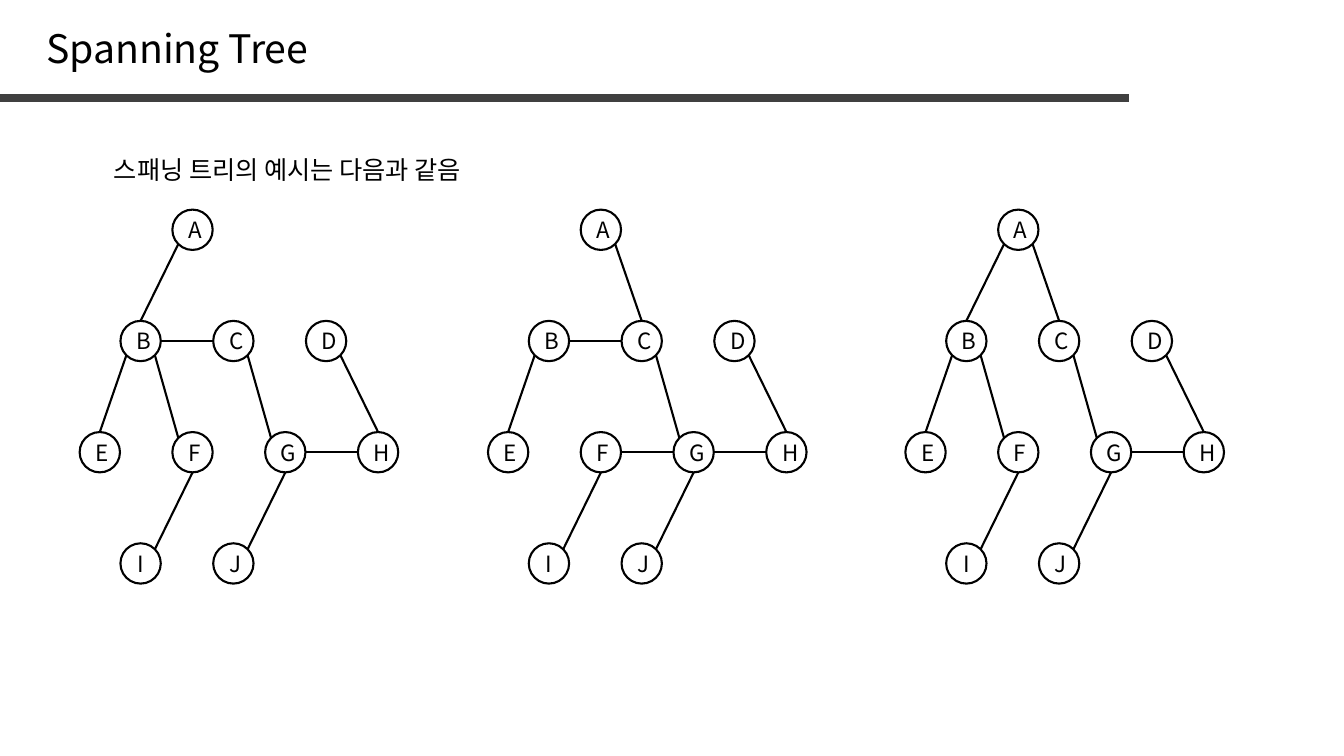
import math

import pptx
import pptx.dml.color
import pptx.enum.shapes
import pptx.enum.text
import pptx.oxml
import pptx.oxml.ns
import pptx.util
from lxml import etree

WIDTH, HEIGHT = 13.33, 7.5
COLUMN, ROW = 0.92, (5.59 - 2.28) / 3
FIRST_ROW = 2.28
DIAMETER = 0.4
SHIFT = 0.44

NODES = {
    "A": (1, 0),
    "B": (SHIFT, 1), "C": (1 + SHIFT, 1), "D": (2 + SHIFT, 1),
    "E": (0, 2), "F": (1, 2), "G": (2, 2), "H": (3, 2),
    "I": (SHIFT, 3), "J": (1 + SHIFT, 3),
}
ANGLES = {"E": 0, "SE": 45, "S": 90, "SW": 135, "W": 180, "NW": 225, "N": 270, "NE": 315}
EDGE_SIDES = {
    "AB": ("SW", "N"), "AC": ("SE", "N"), "BC": ("E", "W"), "BE": ("SW", "N"),
    "BF": ("SE", "NW"), "CG": ("SE", "NW"), "DH": ("SE", "N"), "FG": ("E", "W"),
    "FI": ("S", "NE"), "GH": ("E", "W"), "GJ": ("S", "NE"),
}
SPANNING_TREES = [
    (0.99, "AB BC BE BF GJ CG GH DH FI"),
    (5.04, "AC BC BE GJ FG CG GH DH FI"),
    (9.18, "AB AC BE GJ BF CG GH DH FI"),
]


def colour(hex_string):
    return pptx.dml.color.RGBColor.from_string(hex_string)


class TreeSlide:
    """Draws titles, sentences and graphs on one slide in a single style."""

    font = "Noto Sans CJK KR"
    ink = "000000"
    rule_ink = "404040"
    stroke = 1.5

    def __init__(self, deck):
        self.slide = deck.slides.add_slide(deck.slide_layouts[1])

    def add_words(self, frame, text, size, align):
        paragraph = frame.paragraphs[0]
        paragraph.alignment = align
        run = paragraph.add_run()
        run.text = text
        run.font.size = pptx.util.Pt(size)
        run.font.color.rgb = colour(self.ink)
        run.font.name = self.font
        east_asian = etree.SubElement(run.font._element, pptx.oxml.ns.qn("a:ea"))
        east_asian.set("typeface", self.font)
        return paragraph

    def fill_placeholder(self, index, box, text, size, wrap):
        holder = self.slide.placeholders[index]
        holder.left, holder.top, holder.width, holder.height = map(pptx.util.Inches, box)
        frame = holder.text_frame
        frame.word_wrap = wrap
        frame.auto_size = pptx.enum.text.MSO_AUTO_SIZE.SHAPE_TO_FIT_TEXT
        frame.vertical_anchor = pptx.enum.text.MSO_ANCHOR.TOP
        return self.add_words(frame, text, size, pptx.enum.text.PP_ALIGN.LEFT)

    def title(self, text):
        self.fill_placeholder(0, (0.36, 0.19, 2.84, 0.57), text, 28, False)

    def sentence(self, text):
        paragraph = self.fill_placeholder(1, (1.03, 1.48, 11.2, 0.4), text, 18, True)
        paragraph.space_before = pptx.util.Pt(0)
        properties = paragraph._p.get_or_add_pPr()
        properties.set("marL", "0")
        properties.set("indent", "0")
        etree.SubElement(properties, pptx.oxml.ns.qn("a:buNone"))

    def line(self, start, end, ink, weight):
        connector = self.slide.shapes.add_connector(
            pptx.enum.shapes.MSO_CONNECTOR.STRAIGHT, *map(pptx.util.Inches, (*start, *end)))
        connector.line.color.rgb = colour(ink)
        connector.line.width = pptx.util.Pt(weight)
        etree.SubElement(connector._element.spPr, pptx.oxml.ns.qn("a:effectLst"))

    def title_rule(self):
        self.line((0, 0.13 * HEIGHT), (0.84 * WIDTH, 0.13 * HEIGHT), self.rule_ink, 6)

    def centre(self, origin, letter):
        column, row = NODES[letter]
        return origin + column * COLUMN, FIRST_ROW + row * ROW

    def rim(self, origin, letter, side):
        x, y = self.centre(origin, letter)
        angle = math.radians(ANGLES[side])
        return x + DIAMETER / 2 * math.cos(angle), y + DIAMETER / 2 * math.sin(angle)

    def node(self, origin, letter):
        x, y = self.centre(origin, letter)
        box = (x - DIAMETER / 2, y - DIAMETER / 2, DIAMETER, DIAMETER)
        circle = self.slide.shapes.add_shape(
            pptx.enum.shapes.MSO_SHAPE.OVAL, *map(pptx.util.Inches, box))
        circle.shadow.inherit = False
        circle.fill.background()
        circle.line.color.rgb = colour(self.ink)
        circle.line.width = pptx.util.Pt(self.stroke)
        circle.text_frame.vertical_anchor = pptx.enum.text.MSO_ANCHOR.MIDDLE
        self.add_words(circle.text_frame, letter, 16, pptx.enum.text.PP_ALIGN.CENTER)

    def tree(self, origin, edges):
        for letter in NODES:
            self.node(origin, letter)
        for edge in edges.split():
            start, end = (self.rim(origin, letter, side)
                          for letter, side in zip(edge, EDGE_SIDES[edge]))
            self.line(start, end, self.ink, self.stroke)


def main():
    deck = pptx.Presentation()
    deck.slide_width = pptx.util.Inches(WIDTH)
    deck.slide_height = pptx.util.Inches(HEIGHT)
    page = TreeSlide(deck)
    page.title_rule()
    page.title("Spanning Tree")
    page.sentence("스패닝 트리의 예시는 다음과 같음")
    for origin, edges in SPANNING_TREES:
        page.tree(origin, edges)
    deck.save("out.pptx")


if __name__ == "__main__":
    main()
